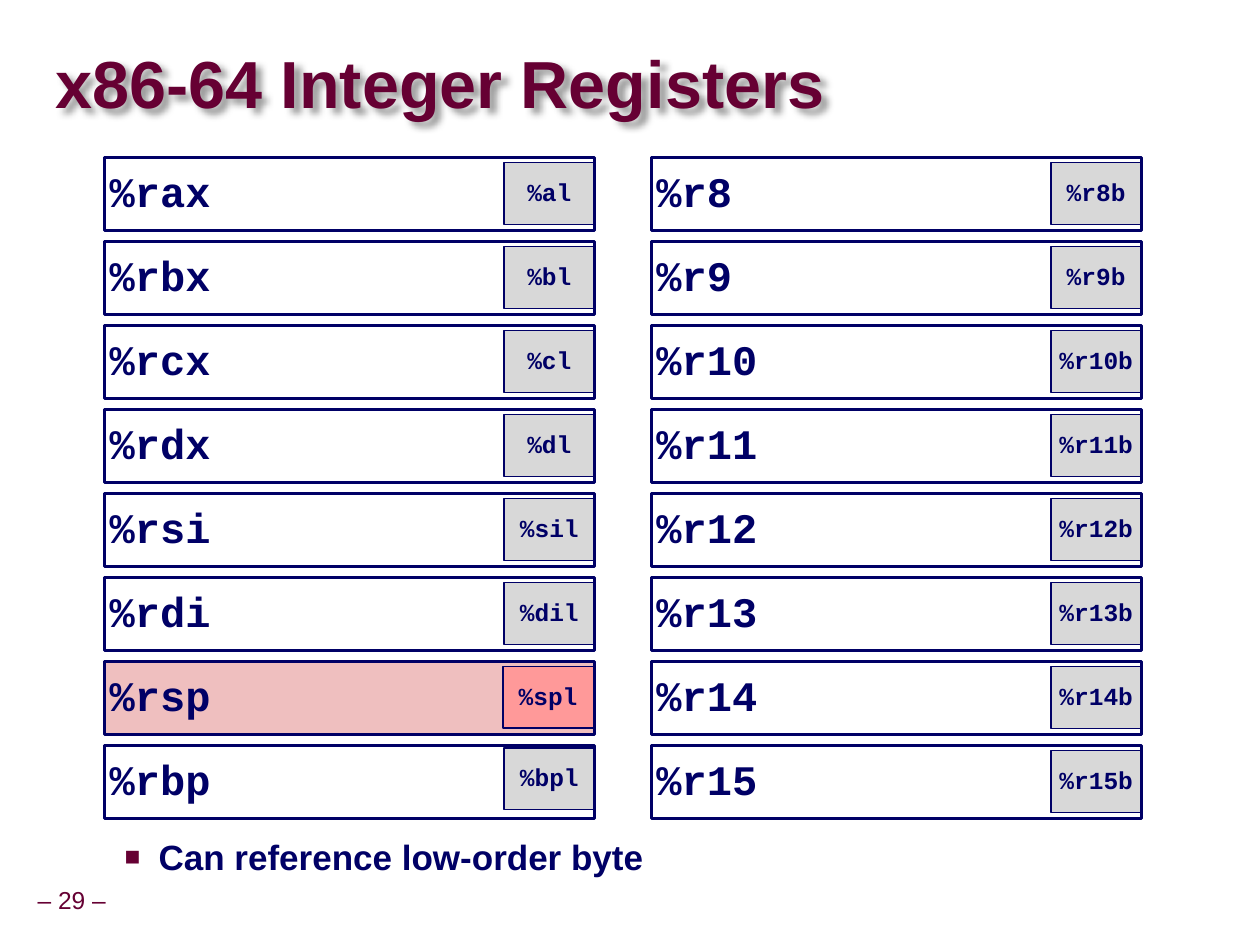
from lxml import etree
from pptx import Presentation
from pptx.dml.color import RGBColor
from pptx.enum import shapes, text
from pptx.oxml import ns
from pptx.util import Inches, Pt

HUES = {"navy": "000066", "wine": "660033", "grey": "D8D8D8",
        "pink": "EFBFBF", "red": "FF9999"}
LEFT = ["ax", "bx", "cx", "dx", "si", "di", "sp", "bp"]
LOW = ["al", "bl", "cl", "dl", "sil", "dil", "spl", "bpl"]
STACK = "%rsp"
TOP, STEP = 1.25, 2 / 3
MID = text.MSO_ANCHOR.MIDDLE
CENTER = text.PP_ALIGN.CENTER


def hue(name):
    return RGBColor.from_string(HUES[name])


def add_node(parent, tag, **attrs):
    return etree.SubElement(parent, ns.qn(tag), attrs)


def write(shape, words, size, color="navy", face="Arial", bold=True,
          inset=0.04, align=None, space=0.9, anchor=MID, wrap=True):
    """Fill a shape with one styled paragraph and return the paragraph."""
    frame = shape.text_frame
    frame.text = words
    frame.word_wrap = wrap
    frame.vertical_anchor = anchor
    frame.margin_left = frame.margin_right = Inches(inset)
    frame.margin_top = frame.margin_bottom = Inches(min(inset, 0.05))
    para = frame.paragraphs[0]
    para.alignment = align or text.PP_ALIGN.LEFT
    para.line_spacing = space
    font = para.runs[0].font
    font.name, font.size, font.bold = face, Pt(size), bold
    font.color.rgb = hue(color)
    return para


def add_text(slide, box, words, size, **style):
    shape = slide.shapes.add_textbox(*map(Inches, box))
    return shape, write(shape, words, size, **style)


def add_box(slide, box, words, size, fill, line, align=None):
    shape = slide.shapes.add_shape(shapes.MSO_SHAPE.RECTANGLE,
                                   *map(Inches, box))
    shape.shadow.inherit = False
    if fill:
        shape.fill.solid()
        shape.fill.fore_color.rgb = hue(fill)
    else:
        shape.fill.background()
    shape.line.color.rgb = hue("navy")
    shape.line.width = Pt(line)
    write(shape, words, size, face="Courier New", align=align)


def add_whole(slide, x, y, name, fill=None):
    add_box(slide, (x, y, 3.89, 0.58), name, 24, fill, 2)


def add_byte(slide, x, y, name, fill="grey", line=0.75):
    add_box(slide, (x, y, 0.72, 0.49), name, 14, fill, line, CENTER)


def add_bank(slide, x, pairs):
    """Stack registers; an unfilled frame lies over its low byte."""
    for row, (name, low) in enumerate(pairs):
        y = TOP + row * STEP
        if name == STACK:
            add_whole(slide, x, y, name, "pink")
            add_byte(slide, x + 3.16, y + 0.04, low, "red", 1)
        else:
            lift = 0.02 if low == "%bpl" else 0
            add_byte(slide, x + 3.17, y + 0.04 - lift, low)
            add_whole(slide, x, y, name)


def add_title(slide, words):
    shape, para = add_text(slide, (0.44, 0.27, 9.53, 0.85), words, 38,
                           color="wine", inset=0, space=0.87)
    effects = add_node(shape.element.spPr, "a:effectLst")
    shade = add_node(effects, "a:outerShdw", blurRad=str(Pt(4)),
                     dist=str(Pt(4)), dir="2700000", algn="tl")
    tint = add_node(shade, "a:srgbClr", val="000000")
    add_node(tint, "a:alpha", val="40000")


def add_bullet(slide, words):
    shape, para = add_text(slide, (0.35, 6.58, 8.02, 0.92), words, 20,
                           inset=0.1, space=1.0,
                           anchor=text.MSO_ANCHOR.TOP)
    props = para._p.get_or_add_pPr()
    props.set("marL", str(Inches(0.81)))
    props.set("indent", str(Inches(-0.27)))
    tint = add_node(props, "a:buClr")
    add_node(tint, "a:srgbClr", val=HUES["wine"])
    add_node(props, "a:buSzPct", val="75000")
    add_node(props, "a:buFont", typeface="Arial")
    add_node(props, "a:buChar", char="■")


def main():
    deck = Presentation()
    deck.slide_width, deck.slide_height = Inches(10), Inches(7.5)
    slide = deck.slides.add_slide(deck.slide_layouts[6])
    add_text(slide, (0.24, 7, 0.66, 0.31), "– 29 –", 14, color="wine",
             bold=False, inset=0.05, align=CENTER, wrap=False)
    add_title(slide, "x86-64 Integer Registers")
    add_bullet(slide, "Can reference low-order byte")
    add_bank(slide, 0.83, [(f"%r{name}", f"%{low}")
                           for name, low in zip(LEFT, LOW)])
    add_bank(slide, 5.17, [(f"%r{num}", f"%r{num}b")
                           for num in range(8, 16)])
    deck.save("out.pptx")


if __name__ == "__main__":
    main()
